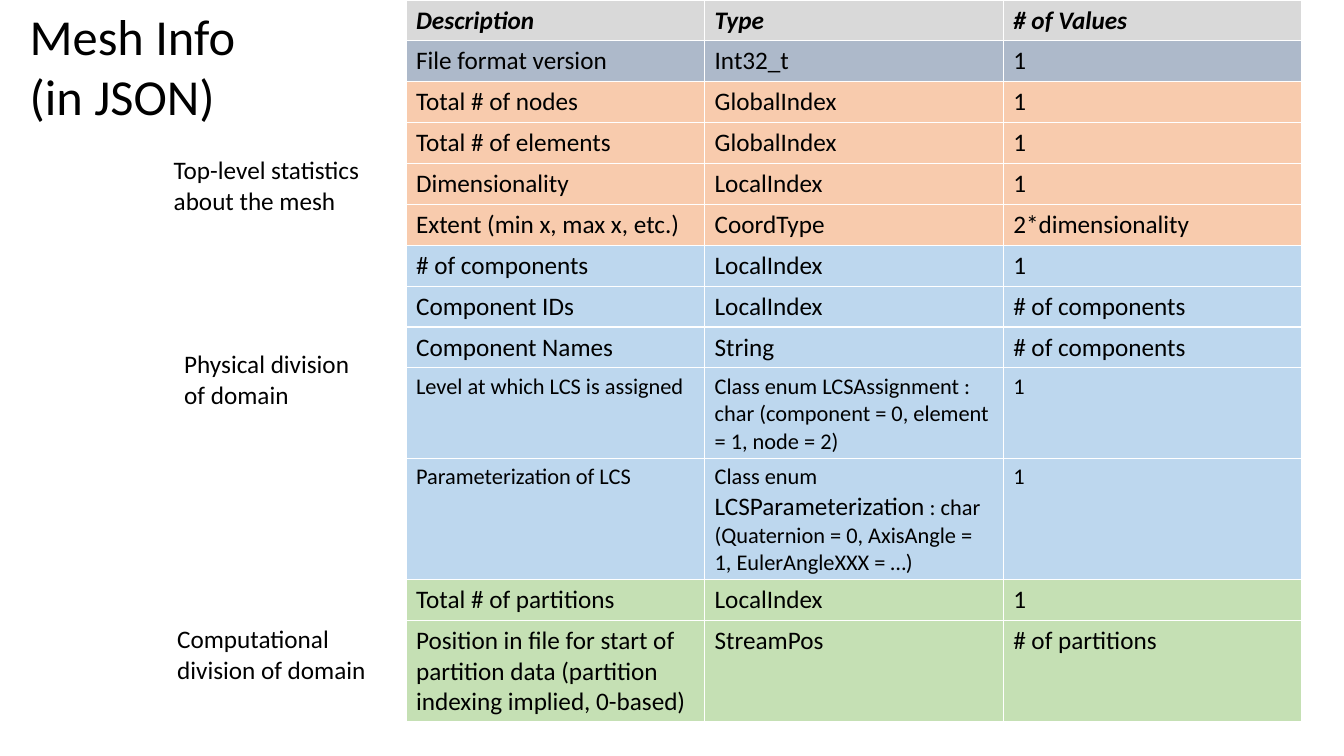
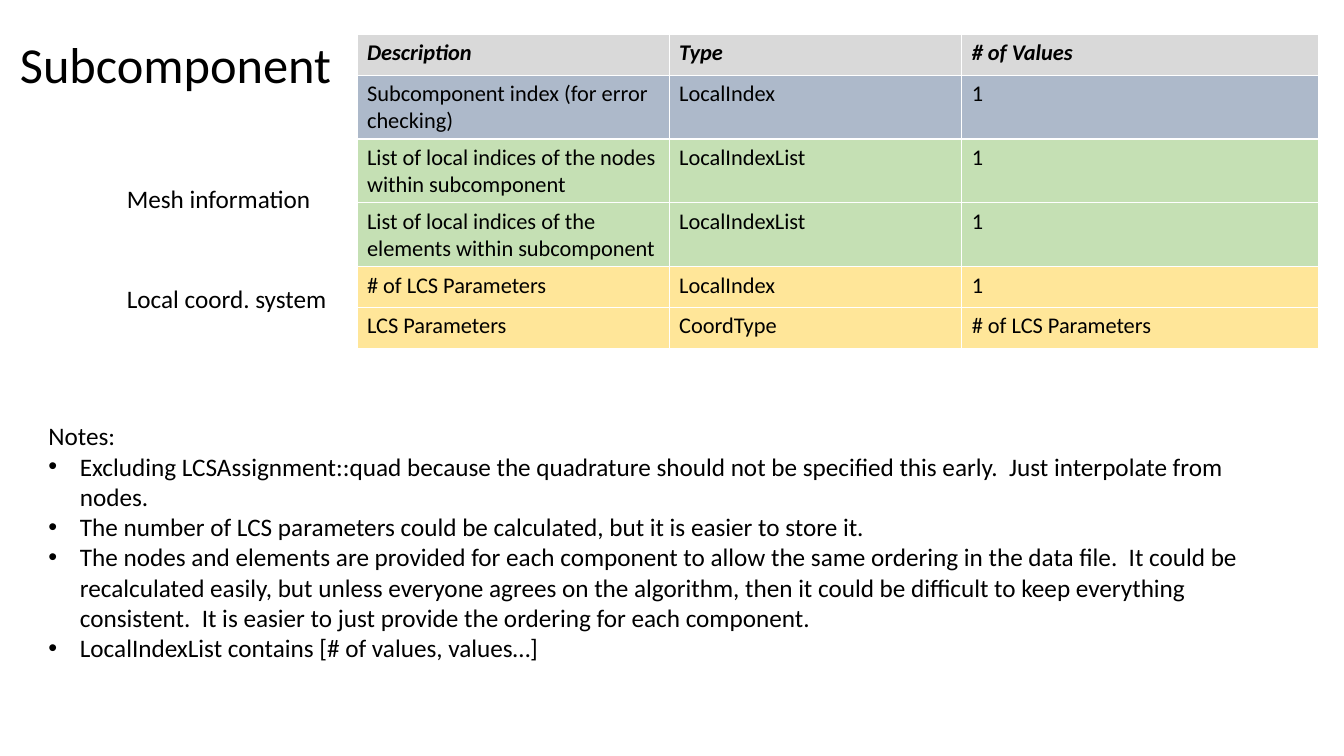
from dataclasses import dataclass

from lxml.etree import SubElement
from pptx import Presentation
from pptx.dml.color import RGBColor as RGB
from pptx.enum.text import MSO_ANCHOR as Anchor, MSO_AUTO_SIZE as AutoSize, PP_ALIGN as Align
from pptx.oxml.ns import qn
from pptx.util import Pt


@dataclass(frozen=True)
class Theme:
    font: str = "Calibri"
    text: str = "000000"
    header: str = "D9D9D9"
    identity: str = "ADB9CA"
    statistics: str = "F8CBAD"
    physical: str = "BDD7EE"
    partition: str = "C5E0B4"
    coordinates: str = "FFE699"
    title_size: int = 36
    body_size: int = 18
    small_size: int = 16
    row_height: float = 29.2
    bullet_indent: float = 22.5


THEME = Theme()
BODY, SMALL = THEME.body_size, THEME.small_size
HEADINGS = ("Description", "Type", "# of Values")

# Each row: band colour, text size, cells; a cell is text or a list of (text, size) runs.
MESH_ROWS = [
    (THEME.identity, BODY, ("File format version", "Int32_t", "1")),
    (THEME.statistics, BODY, ("Total # of nodes", "GlobalIndex", "1")),
    (THEME.statistics, BODY, ("Total # of elements", "GlobalIndex", "1")),
    (THEME.statistics, BODY, ("Dimensionality", "LocalIndex", "1")),
    (THEME.statistics, BODY, ("Extent (min x, max x, etc.)", "CoordType", "2*dimensionality")),
    (THEME.physical, BODY, ("# of components", "LocalIndex", "1")),
    (THEME.physical, BODY, ("Component IDs", "LocalIndex", "# of components")),
    (THEME.physical, BODY, ("Component Names", "String", "# of components")),
    (THEME.physical, SMALL, (
        "Level at which LCS is assigned",
        "Class enum LCSAssignment : char (component = 0, element = 1, node = 2)",
        "1")),
    (THEME.physical, SMALL, (
        "Parameterization of LCS",
        [("Class enum ", SMALL), ("LCSParameterization", BODY),
         (" : char (Quaternion = 0, AxisAngle = 1, EulerAngleXXX = …)", SMALL)],
        "1")),
    (THEME.partition, BODY, ("Total # of partitions", "LocalIndex", "1")),
    (THEME.partition, BODY, (
        "Position in file for start of partition data (partition indexing implied, 0-based)",
        "StreamPos", "# of partitions")),
]

SUBCOMPONENT_ROWS = [
    (THEME.identity, SMALL, ("Subcomponent index (for error checking)", "LocalIndex", "1")),
    (THEME.partition, SMALL, (
        "List of local indices of the nodes within subcomponent", "LocalIndexList", "1")),
    (THEME.partition, SMALL, (
        "List of local indices of the elements within subcomponent", "LocalIndexList", "1")),
    (THEME.coordinates, SMALL, ("# of LCS Parameters", "LocalIndex", "1")),
    (THEME.coordinates, SMALL, ("LCS Parameters", "CoordType", "# of LCS Parameters")),
]

NOTES = [
    "Excluding LCSAssignment::quad because the quadrature should not be specified this early.  "
    "Just interpolate from nodes.",
    "The number of LCS parameters could be calculated, but it is easier to store it.",
    "The nodes and elements are provided for each component to allow the same ordering in the "
    "data file.  It could be recalculated easily, but unless everyone agrees on the algorithm, "
    "then it could be difficult to keep everything consistent.  It is easier to just provide "
    "the ordering for each component.",
    "LocalIndexList contains [# of values, values…]",
]


def add_run(p, text, size, **formats):
    r = p.add_run()
    r.text = text
    for name, value in {"name": THEME.font, "size": Pt(size), **formats}.items():
        setattr(r.font, name, value)
    r.font.color.rgb = RGB.from_string(THEME.text)


def add_title_slide(prs, title, box, wrap=True):
    s = prs.slides.add_slide(prs.slide_layouts[5])
    sp = s.shapes.title
    sp.left, sp.top, sp.width, sp.height = map(Pt, box)
    tf = sp.text_frame
    formats = {"word_wrap": wrap, "auto_size": AutoSize.SHAPE_TO_FIT_TEXT,
               "vertical_anchor": Anchor.TOP}
    for name, value in formats.items():
        setattr(tf, name, value)
    p = tf.paragraphs[0]
    p.alignment = Align.LEFT
    add_run(p, title, THEME.title_size)
    return s


def add_bullet(p):
    pPr = p._p.get_or_add_pPr()
    indent = Pt(THEME.bullet_indent)
    pPr.set("marL", str(indent))
    pPr.set("indent", str(-indent))
    SubElement(pPr, qn("a:buFont")).set("typeface", "Arial")
    SubElement(pPr, qn("a:buChar")).set("char", "•")


def add_text(s, box, text, bullets=()):
    tf = s.shapes.add_textbox(*map(Pt, box)).text_frame
    tf.word_wrap = True
    tf.auto_size = AutoSize.SHAPE_TO_FIT_TEXT
    add_run(tf.paragraphs[0], text, BODY)
    for bullet in bullets:
        p = tf.add_paragraph()
        add_bullet(p)
        add_run(p, bullet, BODY)


def fill_row(cells, contents, colour, size, **formats):
    for cell, content in zip(cells, contents):
        cell.fill.solid()
        cell.fill.fore_color.rgb = RGB.from_string(colour)
        runs = [(content, size)] if isinstance(content, str) else content
        for text, run_size in runs:
            add_run(cell.text_frame.paragraphs[0], text, run_size, **formats)


def add_field_table(s, left, top, widths, rows, header_size):
    """Add a table of data fields whose row colours mark the groups."""
    count = len(rows) + 1
    box = (left, top, sum(widths), count * THEME.row_height)
    table = s.shapes.add_table(count, len(widths), *map(Pt, box)).table
    table.horz_banding = False
    for column, width in zip(table.columns, widths):
        column.width = Pt(width)
    header, *body = table.rows
    fill_row(header.cells, HEADINGS, THEME.header, header_size, bold=True, italic=True)
    for row, (colour, size, contents) in zip(body, rows):
        fill_row(row.cells, contents, colour, size, bold=False)


def build_mesh_info(prs):
    s = add_title_slide(prs, "Mesh Info (in JSON)", (14, 0, 171, 94))
    add_field_table(s, 290, 0, [213.3] * 3, MESH_ROWS, BODY)
    add_text(s, (117, 107, 152, 51), "Top-level statistics about the mesh")
    add_text(s, (124.5, 245.5, 137, 51), "Physical division of domain")
    add_text(s, (119.5, 442, 152, 51), "Computational division of domain")


def build_subcomponent(prs):
    s = add_title_slide(prs, "Subcomponent", (7, 20, 237, 51), wrap=False)
    add_field_table(s, 255, 24.5, [223, 209, 255], SUBCOMPONENT_ROWS, SMALL)
    add_text(s, (83.5, 198.5, 161, 29), "Local coord. system")
    add_text(s, (83.5, 127.5, 152, 29), "Mesh information")
    add_text(s, (27.5, 297, 903, 181), "Notes:", NOTES)


def main():
    prs = Presentation()
    prs.slide_width, prs.slide_height = Pt(960), Pt(540)
    build_mesh_info(prs)
    build_subcomponent(prs)
    prs.save("out.pptx")


if __name__ == "__main__":
    main()
